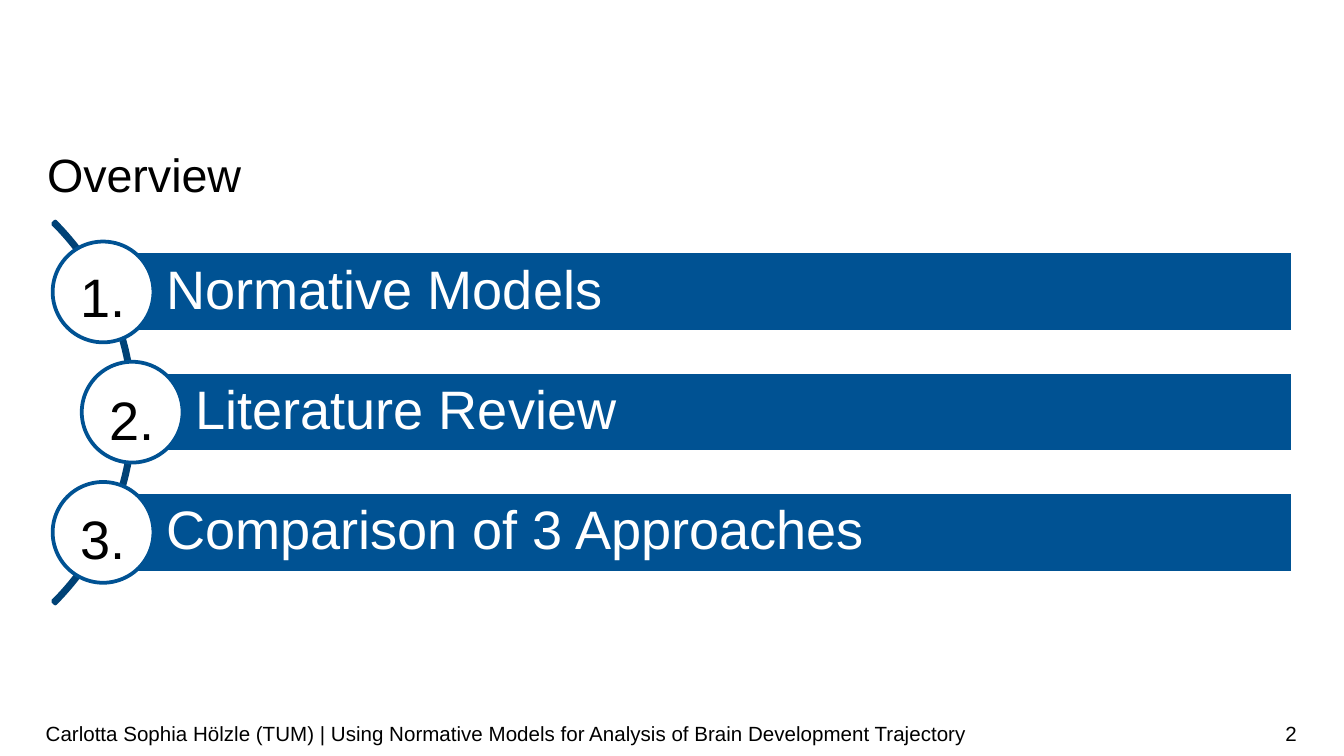
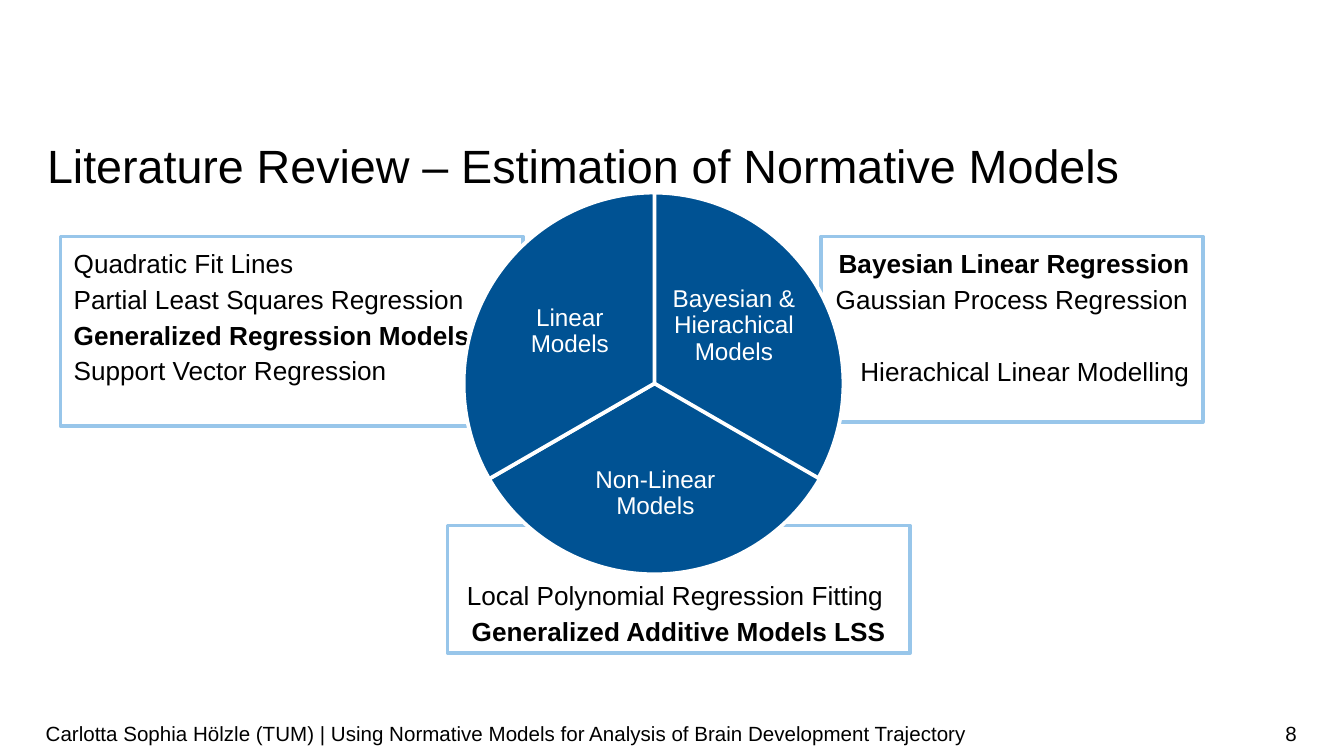
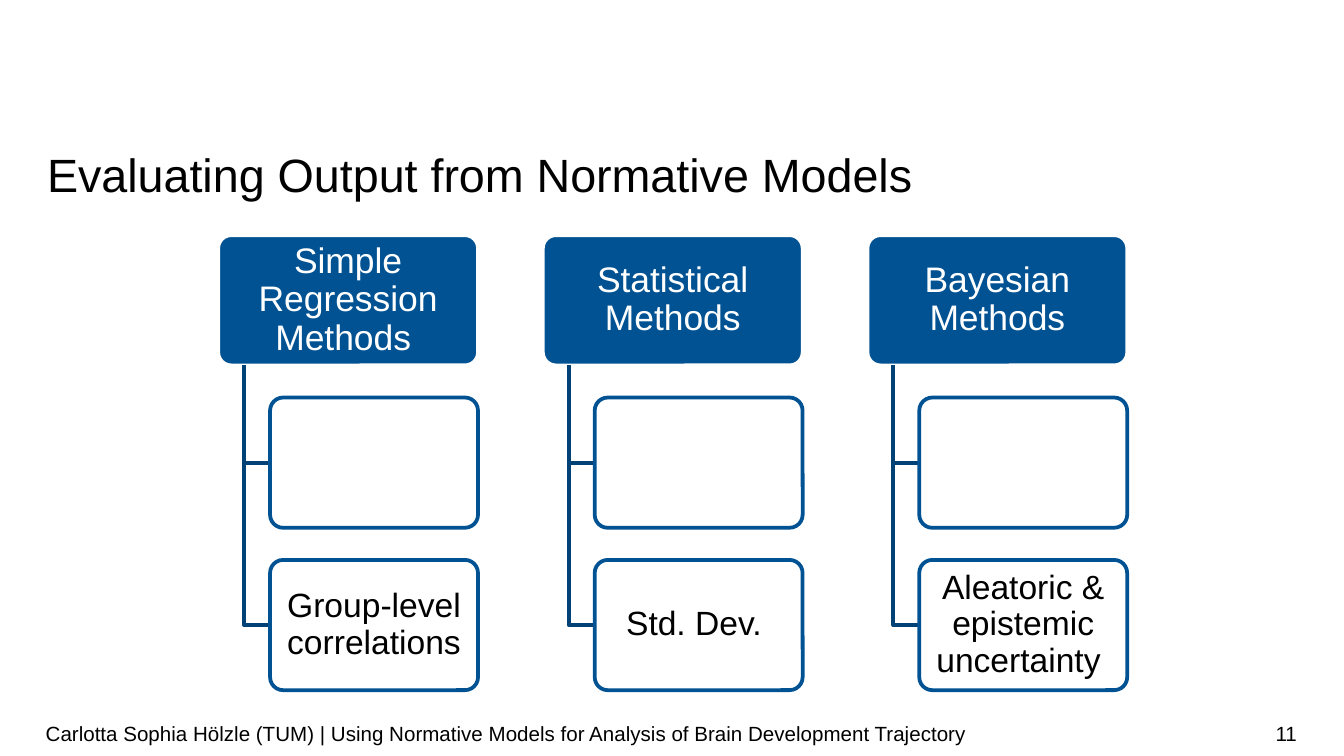
from dataclasses import dataclass
from typing import Any

from lxml.etree import SubElement
from pptx import Presentation
from pptx.dml.color import RGBColor
from pptx.enum.shapes import MSO_SHAPE
from pptx.enum.text import MSO_ANCHOR, PP_ALIGN
from pptx.oxml.ns import qn
from pptx.shapes.autoshape import Shape
from pptx.slide import Slide
from pptx.util import Pt

FONT = "Arial"
BLUE = "005293"
DARK_BLUE = "004276"
LIGHT_BLUE = "98C6EA"
WHITE = "FFFFFF"
BLACK = "000000"
LINE_WIDTH = 2
FOOTER = (
    "Carlotta Sophia Hölzle (TUM) | "
    "Using Normative Models for Analysis of Brain Development Trajectory"
)


@dataclass(frozen=True)
class Box:
    left: float
    top: float
    width: float
    height: float

    def lengths(self) -> tuple[Pt, ...]:
        return tuple(Pt(v) for v in (self.left, self.top, self.width, self.height))


@dataclass(frozen=True)
class TextStyle:
    size: float
    color: str = BLACK
    spacing: Any = 1.0
    alignment: PP_ALIGN = PP_ALIGN.LEFT
    anchor: MSO_ANCHOR = MSO_ANCHOR.TOP
    insets: tuple[float, float, float, float] = (0, 0, 0, 0)


@dataclass(frozen=True)
class Line:
    text: str
    bold: bool = False
    alignment: PP_ALIGN | None = None
    space_after: float = 0


@dataclass(frozen=True)
class Agenda:
    text: str
    bar_left: float
    number_top: float


@dataclass(frozen=True)
class ModelList:
    box: Box
    anchor: MSO_ANCHOR
    alignment: PP_ALIGN
    lines: tuple[Line, ...]


@dataclass(frozen=True)
class Sector:
    label: str
    pie_left: float
    start: float
    end: float
    label_box: Box


@dataclass(frozen=True)
class Method:
    name: str
    outcome: str


MIDDLE = MSO_ANCHOR.MIDDLE
CENTER = PP_ALIGN.CENTER
RIGHT = PP_ALIGN.RIGHT

TITLE_STYLE = TextStyle(25, spacing=Pt(32))
FOOTER_STYLE = TextStyle(11, anchor=MIDDLE, insets=(0, 3.6, 0, 3.6))
PAGE_STYLE = TextStyle(11, alignment=RIGHT, anchor=MIDDLE, insets=(0, 3.6, 0, 3.6))
BAR_STYLE = TextStyle(29, WHITE, 0.9, anchor=MIDDLE, insets=(33.8, 5.8, 5.8, 5.8))
NUMBER_STYLE = TextStyle(29, spacing=1.14)
SECTOR_STYLE = TextStyle(13, WHITE, 0.9, CENTER, MIDDLE, (1.4, 1.4, 1.4, 1.4))
HEADER_STYLE = TextStyle(19, WHITE, 0.9, CENTER, MIDDLE, (2.9, 2.2, 2.9, 2.2))
OUTCOME_STYLE = TextStyle(18, BLACK, 0.9, CENTER, MIDDLE, (2.9, 2.2, 2.9, 2.2))

AGENDA = (
    Agenda("Normative Models", 55.2, 136.1),
    Agenda("Literature Review", 70.8, 202.3),
    Agenda("Comparison of 3 Approaches", 55.2, 265.7),
)

MODEL_LISTS = (
    ModelList(Box(32.4, 126.7, 247.7, 101.5), MSO_ANCHOR.TOP, PP_ALIGN.LEFT, (
        Line("Quadratic Fit Lines"),
        Line("Partial Least Squares Regression"),
        Line("Generalized Regression Models", bold=True),
        Line("Support Vector Regression"),
    )),
    ModelList(Box(439.9, 126.7, 204.5, 99.4), MSO_ANCHOR.TOP, RIGHT, (
        Line("Bayesian Linear Regression", bold=True),
        Line("Gaussian Process Regression", alignment=CENTER, space_after=19.3),
        Line("Hierachical Linear Modelling"),
    )),
    ModelList(Box(239.8, 281.5, 247.7, 68.4), MSO_ANCHOR.BOTTOM, CENTER, (
        Line("Local Polynomial Regression Fitting "),
        Line("Generalized Additive Models LSS", bold=True),
    )),
)

SECTORS = (
    Sector("Bayesian & Hierachical Models", 247.4, 162, 18, Box(358.6, 140.4, 69.1, 68.4)),
    Sector("Non-Linear Models", 248.4, 18, 90, Box(304.6, 232.6, 92.9, 63.4)),
    Sector("Linear Models", 248.4, 90, 162, Box(270.7, 143.3, 69.1, 68.4)),
)

METHODS = (
    Method("Simple Regression Methods ", "Group-level correlations"),
    Method("Statistical Methods", "Std. Dev. "),
    Method("Bayesian Methods", "Aleatoric & epistemic uncertainty "),
)


def rgb(value: str) -> RGBColor:
    return RGBColor.from_string(value)


def set_values(target: Any, values: dict[str, Any]) -> None:
    for name, value in values.items():
        setattr(target, name, value)


def write(shape: Shape, lines: tuple[Line, ...], style: TextStyle) -> None:
    frame = shape.text_frame
    left, top, right, bottom = (Pt(inset) for inset in style.insets)
    set_values(frame, {
        "word_wrap": True,
        "vertical_anchor": style.anchor,
        "margin_left": left,
        "margin_top": top,
        "margin_right": right,
        "margin_bottom": bottom,
    })
    for index, line in enumerate(lines):
        paragraph = frame.add_paragraph() if index else frame.paragraphs[0]
        set_values(paragraph, {
            "text": line.text,
            "alignment": line.alignment or style.alignment,
            "line_spacing": style.spacing,
            "space_after": Pt(line.space_after),
        })
        font = paragraph.runs[0].font
        set_values(font, {"name": FONT, "size": Pt(style.size), "bold": line.bold})
        font.color.rgb = rgb(style.color)


def add_text(slide: Slide, box: Box, text: str, style: TextStyle) -> None:
    write(slide.shapes.add_textbox(*box.lengths()), (Line(text),), style)


def paint(shape: Shape, fill: str | None, line: str) -> None:
    shape.shadow.inherit = False
    if fill:
        shape.fill.solid()
        shape.fill.fore_color.rgb = rgb(fill)
    else:
        shape.fill.background()
    shape.line.color.rgb = rgb(line)
    shape.line.width = Pt(LINE_WIDTH)


def add_preset(
    slide: Slide,
    kind: MSO_SHAPE,
    box: Box,
    fill: str | None,
    line: str,
    adjustments: tuple[float, ...] = (),
) -> Shape:
    shape = slide.shapes.add_shape(kind, *box.lengths())
    for index, value in enumerate(adjustments):
        shape.adjustments[index] = value
    paint(shape, fill, line)
    return shape


def add_elbow(slide: Slide, left: float, top: float, right: float, bottom: float) -> None:
    builder = slide.shapes.build_freeform(Pt(left), Pt(top))
    corners = [(Pt(left), Pt(bottom)), (Pt(right), Pt(bottom))]
    builder.add_line_segments(corners, close=False)
    paint(builder.convert_to_shape(), None, DARK_BLUE)


def add_slide(presentation: Any, title: str, page: int, title_top: float = 76.3) -> Slide:
    slide = presentation.slides.add_slide(presentation.slide_layouts[6])
    add_text(slide, Box(25.2, title_top, 670.3, 30.2), title, TITLE_STYLE)
    add_text(slide, Box(533.5, 382.3, 161.3, 21.6), str(page), PAGE_STYLE)
    add_text(slide, Box(24.5, 382.3, 509, 21.6), FOOTER, FOOTER_STYLE)
    return slide


def build_overview(presentation: Any) -> None:
    slide = add_slide(presentation, "Overview", 2)
    arc = add_preset(
        slide, MSO_SHAPE.BLOCK_ARC, Box(-217.4, 76.3, 289.4, 289.4),
        None, DARK_BLUE, (189, 27, 0.006),
    )
    SubElement(arc.line._get_or_add_ln(), qn("a:round"))
    bar_right, bar_height, pitch, diameter = 692.6, 43.2, 64.4, 54
    for index, item in enumerate(AGENDA):
        center = 156.4 + index * pitch
        bar_box = Box(
            item.bar_left, center - bar_height / 2, bar_right - item.bar_left, bar_height
        )
        bar = add_preset(slide, MSO_SHAPE.RECTANGLE, bar_box, BLUE, WHITE)
        write(bar, (Line(item.text),), BAR_STYLE)
        circle_box = Box(
            item.bar_left - diameter / 2, center - diameter / 2, diameter, diameter
        )
        add_preset(slide, MSO_SHAPE.OVAL, circle_box, WHITE, BLUE)
        number_box = Box(item.bar_left - 12.2, item.number_top, 28.8, 36.7)
        add_text(slide, number_box, f"{index + 1}.", NUMBER_STYLE)


def build_literature_review(presentation: Any) -> None:
    title = "Literature Review – Estimation of Normative Models"
    slide = add_slide(presentation, title, 8, title_top=71.3)
    for models in MODEL_LISTS:
        frame = add_preset(slide, MSO_SHAPE.RECTANGLE, models.box, WHITE, LIGHT_BLUE)
        style = TextStyle(
            14, BLACK, 1.14, models.alignment, models.anchor, (7.2, 3.6, 7.2, 3.6)
        )
        write(frame, models.lines, style)
    for sector in SECTORS:
        pie_box = Box(sector.pie_left, 103.2, 204.5, 204.5)
        add_preset(slide, MSO_SHAPE.PIE, pie_box, BLUE, WHITE, (sector.start, sector.end))
        add_text(slide, sector.label_box, sector.label, SECTOR_STYLE)


def build_evaluation(presentation: Any) -> None:
    slide = add_slide(presentation, "Evaluating Output from Normative Models", 11)
    header_top, height, pitch = 126, 69.8, 87
    for column, method in enumerate(METHODS):
        left = 116.9 + column * 173.9
        child_left = left + 27.8
        header = add_preset(
            slide, MSO_SHAPE.ROUNDED_RECTANGLE, Box(left, header_top, 139.2, height),
            BLUE, WHITE, (0.1,),
        )
        write(header, (Line(method.name),), HEADER_STYLE)
        for row, text in enumerate(("", method.outcome), start=1):
            child_top = header_top + row * pitch
            add_elbow(
                slide, left + 13.9, header_top + height, child_left, child_top + height / 2
            )
            child = add_preset(
                slide, MSO_SHAPE.ROUNDED_RECTANGLE,
                Box(child_left, child_top, 111.4, height), WHITE, BLUE, (0.1,),
            )
            if text:
                write(child, (Line(text),), OUTCOME_STYLE)


def main() -> None:
    presentation = Presentation()
    set_values(presentation, {"slide_width": Pt(720), "slide_height": Pt(405)})
    build_overview(presentation)
    build_literature_review(presentation)
    build_evaluation(presentation)
    presentation.save("out.pptx")


if __name__ == "__main__":
    main()
